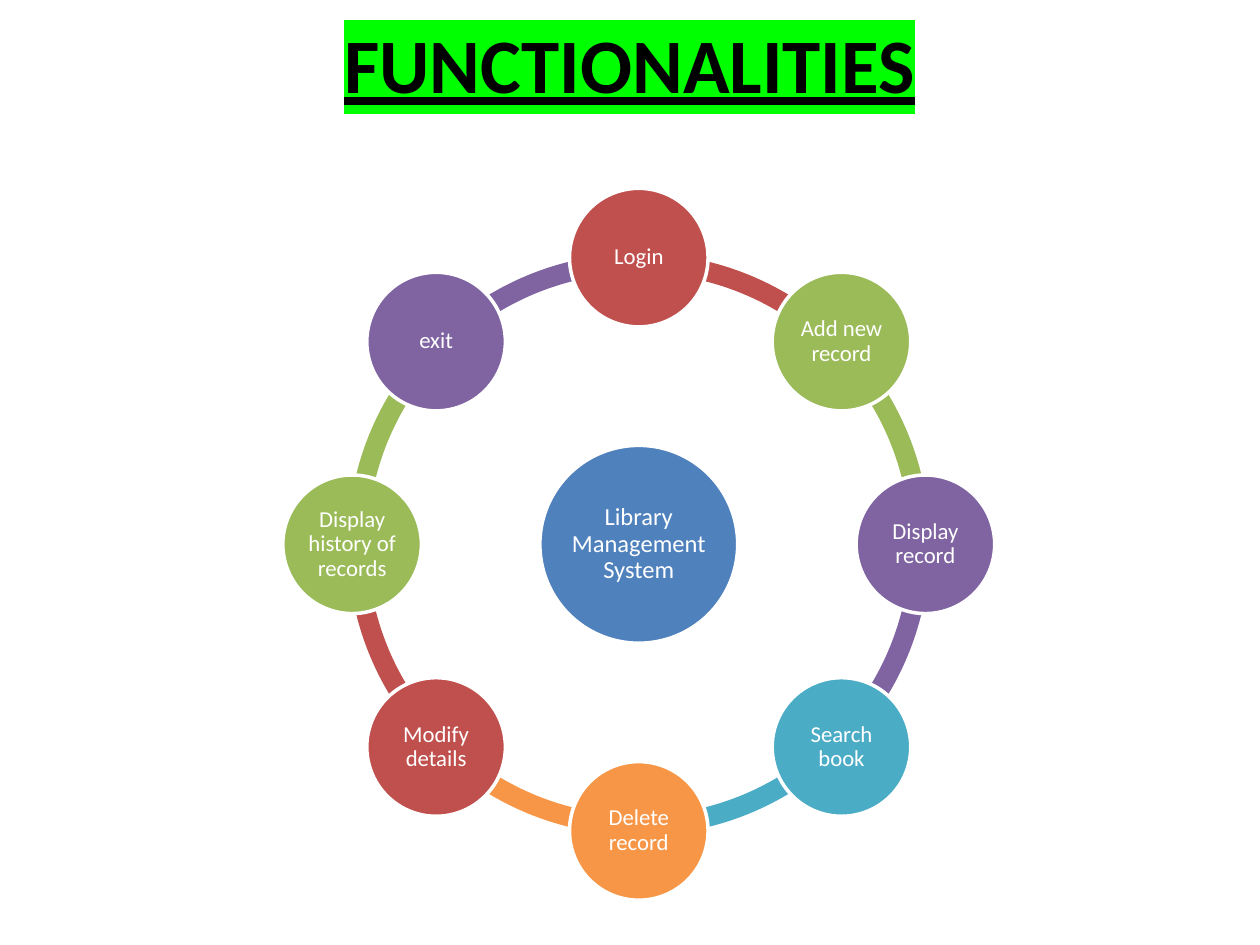
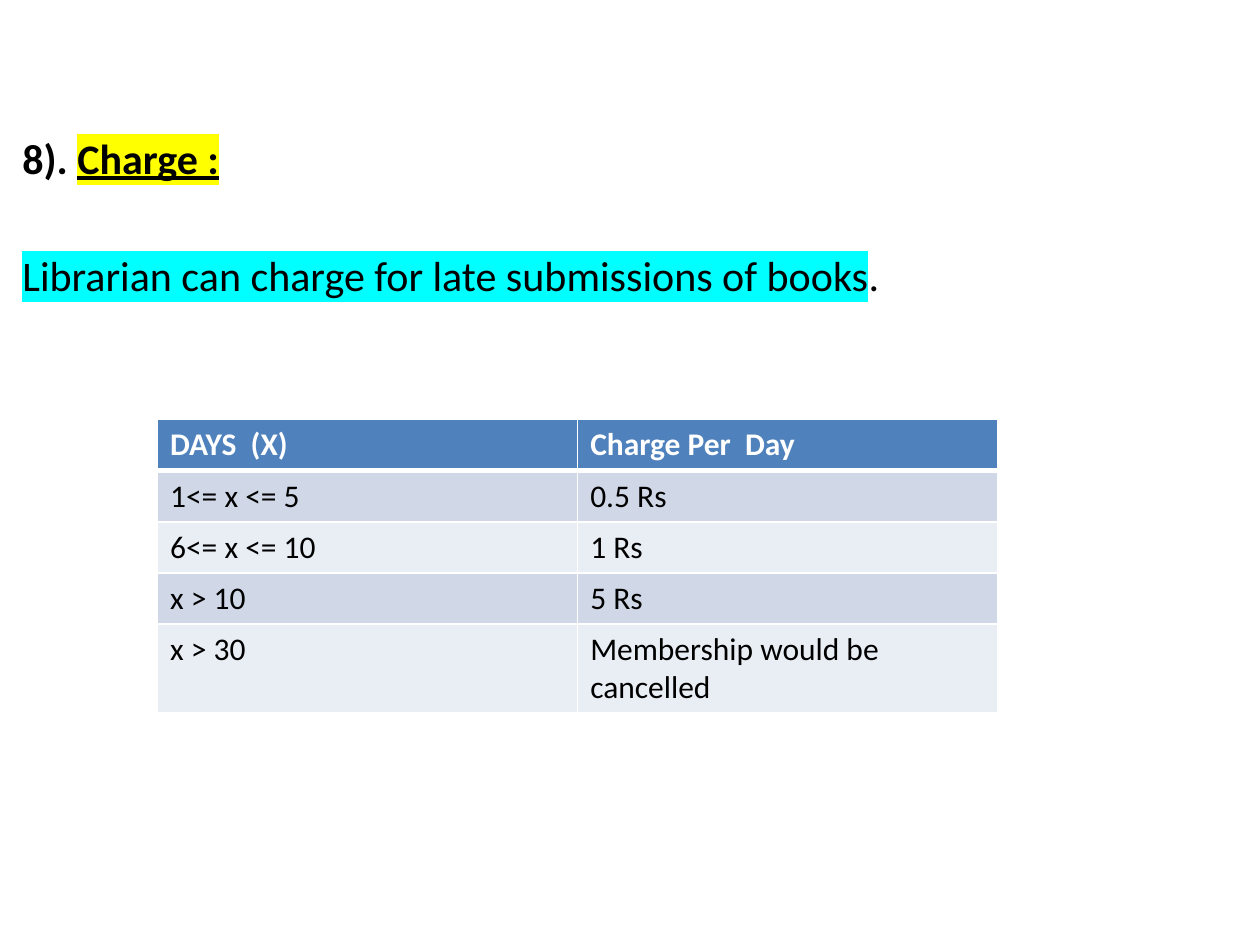
from dataclasses import dataclass
from math import cos, radians, sin

from lxml import etree
from pptx import Presentation
from pptx.dml.color import RGBColor
from pptx.enum.shapes import MSO_SHAPE
from pptx.enum.text import MSO_ANCHOR, PP_ALIGN
from pptx.oxml.ns import qn
from pptx.util import Inches, Pt

ARC = MSO_SHAPE.BLOCK_ARC
OVAL = MSO_SHAPE.OVAL
MIDDLE = MSO_ANCHOR.MIDDLE
CENTER = PP_ALIGN.CENTER


# Shared colours and type sizes
@dataclass(frozen=True)
class Theme:
    font: str = "Calibri"
    black: str = "000000"
    white: str = "FFFFFF"
    blue: str = "4F81BD"
    red: str = "C0504D"
    green: str = "9BBB59"
    purple: str = "8064A2"
    aqua: str = "4BACC6"
    orange: str = "F79646"
    dark: str = "D0D8E8"
    light: str = "E9EDF4"
    lime: str = "00FF00"
    yellow: str = "FFFF00"
    cyan: str = "00FFFF"
    title: int = 44
    body: int = 24
    cell: int = 18
    hub: int = 14
    node: int = 13


THEME = Theme()


@dataclass(frozen=True)
class Span:
    text: str
    size: int
    color: str = THEME.black
    bold: bool = False
    under: bool = False
    mark: str = ""


@dataclass(frozen=True)
class Node:
    label: str
    fill: str


@dataclass(frozen=True)
class Ring:
    x: float = 5.07
    y: float = 4.32
    reach: float = 2.275
    arc: float = 4.62
    thick: float = 0.034
    hub: float = 1.57
    node: float = 1.1
    inset: float = 0.02


RING = Ring()
NODES = [
    Node("Login", THEME.red),
    Node("Add new record", THEME.green),
    Node("Display record", THEME.purple),
    Node("Search book", THEME.aqua),
    Node("Delete record", THEME.orange),
    Node("Modify details", THEME.red),
    Node("Display history of records", THEME.green),
    Node("exit", THEME.purple),
]
RATES = [
    ("DAYS  (X)", "Charge Per  Day"),
    ("1<= x <= 5", "0.5 Rs"),
    ("6<= x <= 10", "1 Rs"),
    ("x > 10", "5 Rs"),
    ("x > 30", "Membership would be cancelled"),
]


# Text
def add_span(para, span: Span) -> None:
    run = para.add_run()
    run.text = span.text
    font = run.font
    font.name, font.size = THEME.font, Pt(span.size)
    font.bold, font.underline = span.bold, span.under
    font.color.rgb = RGBColor.from_string(span.color)
    if span.mark:
        mark = etree.Element(qn("a:highlight"))
        etree.SubElement(mark, qn("a:srgbClr"), val=span.mark)
        font._element.find(qn("a:solidFill")).addnext(mark)


def add_box(slide, x: float, y: float, wide: float, high: float):
    box = slide.shapes.add_textbox(Inches(x), Inches(y), Inches(wide), Inches(high))
    box.text_frame.word_wrap = True
    return box.text_frame


# Ring parts
def add_round(shapes, kind, x: float, y: float, size: float, fill: str):
    shape = shapes.add_shape(kind, Inches(x - size / 2), Inches(y - size / 2),
                             Inches(size), Inches(size))
    shape.shadow.inherit = False
    shape.fill.solid()
    shape.fill.fore_color.rgb = RGBColor.from_string(fill)
    shape.line.fill.background()
    return shape


def add_arc(shapes, start: float, end: float, fill: str) -> None:
    arc = add_round(shapes, ARC, RING.x, RING.y, RING.arc, fill)
    # One degree is 60000 units; the adjustment is in units of 100000
    for i, value in enumerate((start % 360 * 0.6, end % 360 * 0.6, RING.thick)):
        arc.adjustments[i] = value


def add_disc(shapes, x: float, y: float, size: float, node: Node, points: int) -> None:
    disc = add_round(shapes, OVAL, x, y, size, node.fill)
    disc.line.color.rgb = RGBColor.from_string(THEME.white)
    disc.line.width = Pt(2)
    frame = disc.text_frame
    frame.word_wrap = True
    frame.vertical_anchor = MIDDLE
    frame.margin_left = frame.margin_right = Inches(RING.inset)
    frame.margin_top = frame.margin_bottom = Inches(RING.inset)
    para = frame.paragraphs[0]
    para.alignment, para.line_spacing = CENTER, 0.9
    add_span(para, Span(node.label, points, THEME.white))


def draw_ring(slide) -> None:
    shapes = slide.shapes.add_group_shape().shapes
    step = 360 / len(NODES)
    turns = [(270 + i * step, node) for i, node in enumerate(NODES)]
    for turn, node in reversed(turns):
        add_arc(shapes, turn, turn + step, node.fill)
    hub = Node("Library Management System", THEME.blue)
    add_disc(shapes, RING.x, RING.y, RING.hub, hub, THEME.hub)
    for turn, node in turns:
        x = RING.x + RING.reach * cos(radians(turn))
        y = RING.y + RING.reach * sin(radians(turn))
        add_disc(shapes, x, y, RING.node, node, THEME.node)


# Table parts
def add_edge(cell, side: str, points: int) -> None:
    edge = etree.SubElement(cell._tc.get_or_add_tcPr(), qn(f"a:ln{side}"), w=str(Pt(points)))
    fill = etree.SubElement(edge, qn("a:solidFill"))
    etree.SubElement(fill, qn("a:srgbClr"), val=THEME.white)


def draw_rates(slide) -> None:
    table = slide.shapes.add_table(len(RATES), 2, Inches(1.25), Inches(3.33),
                                   Inches(6.67), Inches(2.03)).table
    for r, row in enumerate(RATES):
        head = r == 0
        fill = THEME.blue if head else (THEME.light, THEME.dark)[r % 2]
        ink = THEME.white if head else THEME.black
        for c, text in enumerate(row):
            cell = table.cell(r, c)
            for side in "LRTB":
                thick = (head and side == "B") or (r == 1 and side == "T")
                add_edge(cell, side, 3 if thick else 1)
            cell.fill.solid()
            cell.fill.fore_color.rgb = RGBColor.from_string(fill)
            add_span(cell.text_frame.paragraphs[0], Span(text, THEME.cell, ink, head))


# Slides
def draw_tasks(slide) -> None:
    draw_ring(slide)
    para = add_box(slide, 0, 0.08, 10, 1.25).paragraphs[0]
    para.alignment = CENTER
    add_span(para, Span("FUNCTIONALITIES", THEME.title, bold=True, under=True, mark=THEME.lime))


def draw_charge(slide) -> None:
    frame = add_box(slide, 0.08, 1, 9.83, 6.25)
    head = frame.paragraphs[0]
    add_span(head, Span("8). ", THEME.body, bold=True))
    add_span(head, Span("Charge :", THEME.body, bold=True, under=True, mark=THEME.yellow))
    note = frame.add_paragraph()
    note.space_before = Pt(38)
    add_span(note, Span("Librarian can charge for late submissions of books",
                        THEME.body, mark=THEME.cyan))
    add_span(note, Span(".", THEME.body))
    draw_rates(slide)


def main() -> None:
    deck = Presentation()
    deck.slide_width, deck.slide_height = Inches(10), Inches(7.5)
    for draw in (draw_tasks, draw_charge):
        draw(deck.slides.add_slide(deck.slide_layouts[6]))
    deck.save("out.pptx")


if __name__ == "__main__":
    main()
